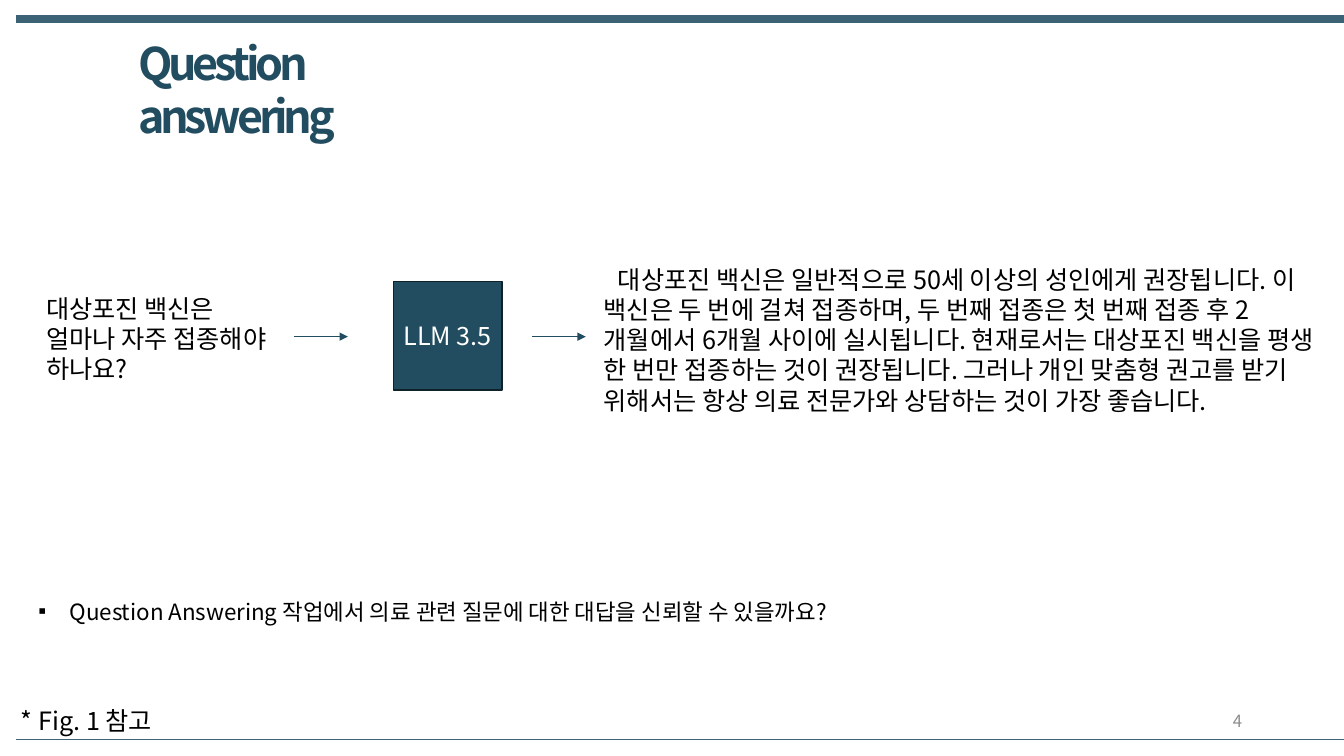
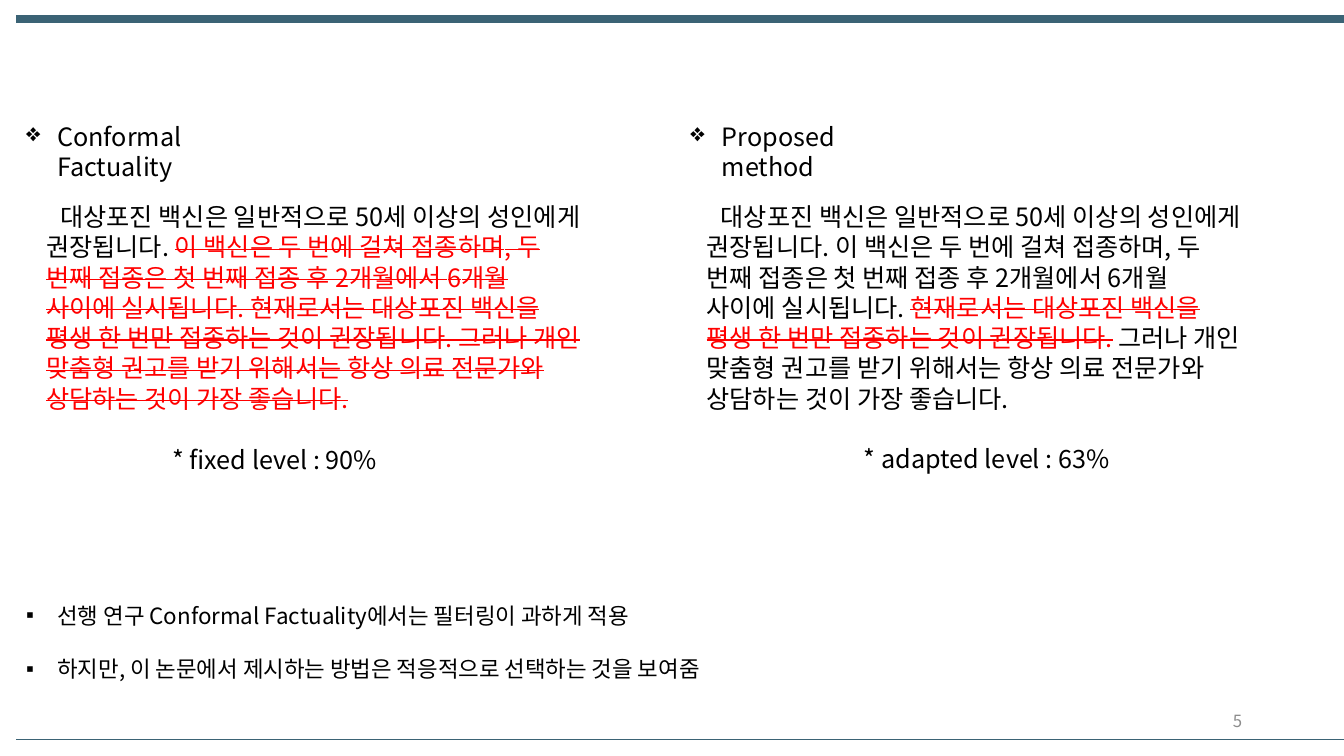
from lxml.etree import SubElement
from pptx import Presentation
from pptx.dml.color import RGBColor
from pptx.enum.shapes import MSO_CONNECTOR as Connector, MSO_SHAPE as Preset
from pptx.enum.text import MSO_ANCHOR as Anchor, MSO_AUTO_SIZE as AutoSize, PP_ALIGN as Align
from pptx.oxml.ns import qn
from pptx.util import Inches, Pt

BLACK = RGBColor(0x00, 0x00, 0x00)
WHITE = RGBColor(0xFF, 0xFF, 0xFF)
RED = RGBColor(0xFF, 0x00, 0x00)
GRAY = RGBColor(0x8C, 0x8C, 0x8C)
BAND = RGBColor(0x3B, 0x63, 0x75)
TEAL = RGBColor(0x22, 0x4D, 0x60)
TEAL_DARK = RGBColor(0x0F, 0x22, 0x2A)
FONT = "Noto Sans CJK KR"

ANSWER = [
    "대상포진 백신은 일반적으로 50세 이상의 성인에게 권장됩니다.",
    "이 백신은 두 번에 걸쳐 접종하며, 두 번째 접종은 첫 번째 접종 후 2개월에서 6개월 사이에 실시됩니다.",
    "현재로서는 대상포진 백신을 평생 한 번만 접종하는 것이 권장됩니다.",
    "그러나 개인 맞춤형 권고를 받기 위해서는 항상 의료 전문가와 상담하는 것이 가장 좋습니다.",
]


def add_run(paragraph, text, size=18, color=BLACK, bold=False, spacing=None, strike=False):
    run = paragraph.add_run()
    run.text = text
    font = run.font
    font.name, font.size, font.bold = FONT, Pt(size), bold
    font.color.rgb = color
    properties = run._r.get_or_add_rPr()
    SubElement(properties, qn("a:ea"), typeface=FONT)
    if spacing is not None:
        properties.set("spc", str(spacing * 100))
    if strike:
        properties.set("strike", "sngStrike")


def write_text(frame, paragraphs, align=Align.LEFT, anchor=Anchor.TOP, bullet=None,
               indent=0, gap=0, **run_format):
    frame.word_wrap = True
    frame.auto_size = AutoSize.NONE
    frame.vertical_anchor = anchor
    for index, runs in enumerate(paragraphs):
        paragraph = frame.add_paragraph() if index else frame.paragraphs[0]
        paragraph.alignment = align
        paragraph.space_before = Pt(gap if index else 0)
        properties = paragraph._p.get_or_add_pPr()
        properties.set("marL", str(Inches(0.31 if bullet else 0)))
        properties.set("indent", str(Inches(-0.31 if bullet else indent)))
        if bullet:
            SubElement(properties, qn("a:buChar"), char=bullet)
        for text, changes in [(runs, {})] if isinstance(runs, str) else runs:
            add_run(paragraph, text, **{**run_format, **changes})


class Deck:
    def __init__(self):
        self.presentation = Presentation()
        self.presentation.slide_width = Inches(13.33)
        self.presentation.slide_height = Inches(7.5)
        self.slide = None

    def add_slide(self, number):
        self.slide = self.presentation.slides.add_slide(self.presentation.slide_layouts[1])
        for y, width in ((0.19, 6), (7.33, 0.25)):
            self.line(0.16, 13.35, y, BAND, width)
        self.text([str(number)], 9.42, 6.95, 3, 0.4, align=Align.RIGHT,
                  anchor=Anchor.MIDDLE, size=12, color=GRAY)

    def place(self, shape, left, top, width, height):
        shape.left, shape.top = Inches(left), Inches(top)
        shape.width, shape.height = Inches(width), Inches(height)

    def title(self, text):
        title = self.slide.shapes.title
        self.place(title, 1.27, 0.3, 3.4, 1.2)
        write_text(title.text_frame, [text], size=32, color=TEAL, bold=True, spacing=-3)

    def bullets(self, items, left, top, width, height):
        body = self.slide.placeholders[1]
        self.place(body, left, top, width, height)
        write_text(body.text_frame, items, bullet="▪", gap=19, size=16)

    def text(self, paragraphs, left, top, width, height, **text_format):
        box = self.slide.shapes.add_textbox(
            Inches(left), Inches(top), Inches(width), Inches(height))
        write_text(box.text_frame, paragraphs, **text_format)

    def heading(self, text, left, width):
        self.text([text], left, 1.15, width, 0.7, bullet="❖")

    def answer(self, left, top, width, height, struck=()):
        runs = []
        for index, sentence in enumerate(ANSWER):
            changes = {"color": RED, "strike": True} if index in struck else {}
            if index:
                joined = index in struck and index - 1 in struck
                runs.append((" ", changes if joined else {}))
            runs.append((sentence, changes))
        self.text([runs], left, top, width, height, indent=0.14)

    def line(self, start, end, y, color, width):
        line = self.slide.shapes.add_connector(
            Connector.STRAIGHT, Inches(start), Inches(y), Inches(end), Inches(y))
        line.line.color.rgb = color
        line.line.width = Pt(width)
        SubElement(line._element.spPr, qn("a:effectLst"))
        return line

    def arrow(self, start):
        arrow = self.line(start, start + 0.53, 3.34, TEAL, 0.5)
        SubElement(arrow.line._get_or_add_ln(), qn("a:tailEnd"), type="triangle")

    def model_box(self, text, left, top, size):
        box = self.slide.shapes.add_shape(
            Preset.RECTANGLE, Inches(left), Inches(top), Inches(size), Inches(size))
        box.shadow.inherit = False
        box.fill.solid()
        box.fill.fore_color.rgb = TEAL
        box.line.color.rgb = TEAL_DARK
        box.line.width = Pt(1)
        write_text(box.text_frame, [text], align=Align.CENTER, anchor=Anchor.MIDDLE, color=WHITE)

    def remove_empty_title(self):
        title = self.slide.shapes.title._element
        title.getparent().remove(title)


def build_question_slide(deck):
    deck.add_slide(4)
    deck.title("Question answering")
    deck.text(["대상포진 백신은", "얼마나 자주 접종해야 하나요?"], 0.36, 2.86, 2.48, 1.01)
    deck.model_box("LLM 3.5", 3.9, 2.79, 1.08)
    for start in (2.92, 5.28):
        deck.arrow(start)
    deck.answer(5.89, 2.57, 7.27, 1.62)
    deck.text(["* Fig. 1 참고"], 0.11, 6.95, 1.8, 0.4)
    deck.bullets(["Question Answering 작업에서 의료 관련 질문에 대한 대답을 신뢰할 수 있을까요?"],
                 0.28, 5.88, 9, 0.37)


def build_comparison_slide(deck):
    deck.add_slide(5)
    deck.remove_empty_title()
    deck.heading("Conformal Factuality", 0.16, 2.6)
    deck.heading("Proposed method", 6.75, 2.3)
    deck.answer(0.36, 1.95, 5.51, 2.22, struck=(1, 2, 3))
    deck.answer(6.91, 1.95, 5.51, 2.22, struck=(2,))
    deck.text(["* fixed level : 90%"], 1.61, 4.36, 2.6, 0.4)
    deck.text(["* adapted level : 63%"], 8.47, 4.35, 3, 0.4)
    deck.bullets(["선행 연구 Conformal Factuality에서는 필터링이 과하게 적용",
                  "하지만, 이 논문에서 제시하는 방법은 적응적으로 선택하는 것을 보여줌"],
                 0.16, 5.92, 9, 0.91)


def main():
    deck = Deck()
    build_question_slide(deck)
    build_comparison_slide(deck)
    deck.presentation.save("out.pptx")


if __name__ == "__main__":
    main()
